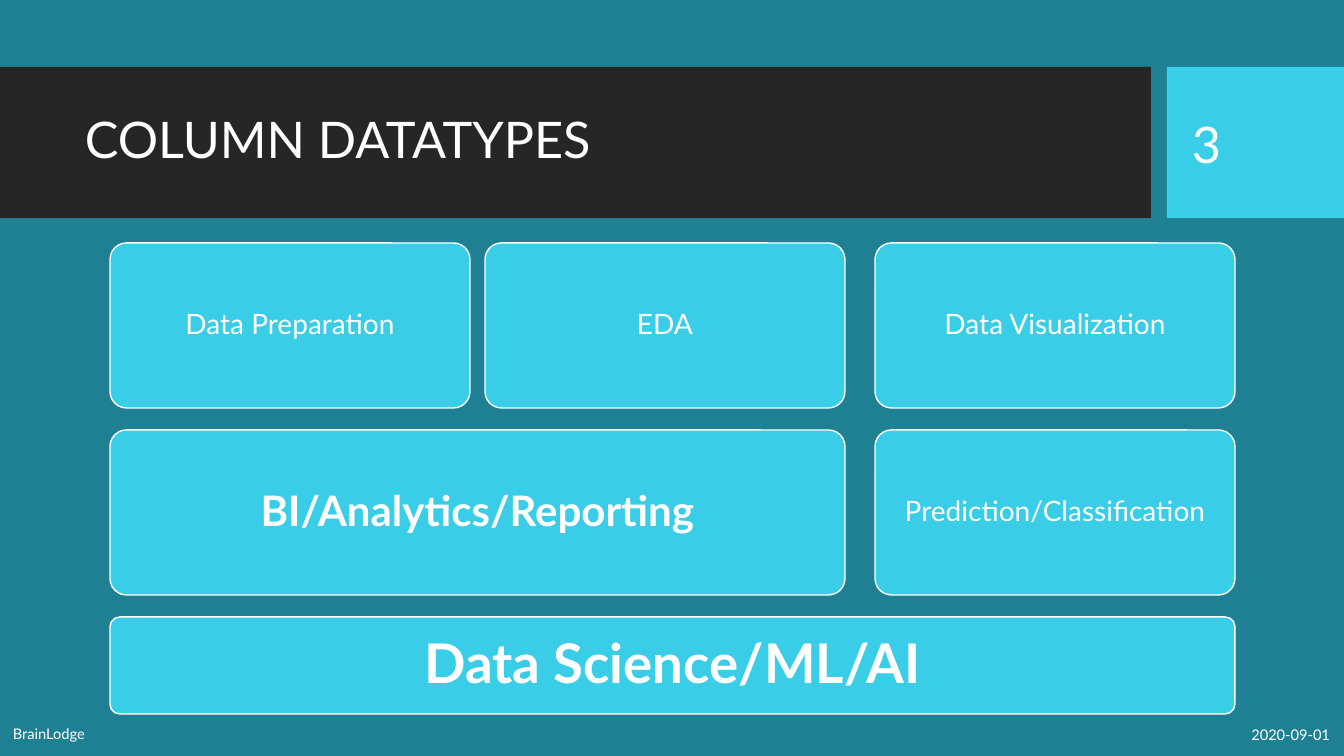
"""Build the column datatypes slide: a title band above a stack of rounded blocks."""
from pptx import Presentation
from pptx.dml.color import RGBColor
from pptx.enum.shapes import MSO_SHAPE
from pptx.enum.text import MSO_ANCHOR, PP_ALIGN
from pptx.util import Emu, Pt

SCALE = 914400 / 100.8
COLORS = {"teal": "1F8094", "dark": "262626", "cyan": "39CDE7", "white": "FFFFFF"}


def add_panel(page, place, color, kind=MSO_SHAPE.RECTANGLE):
    panel = page.shapes.add_shape(kind, *[Emu(round(pixels * SCALE)) for pixels in place])
    panel.shadow.inherit = False
    panel.fill.solid()
    panel.fill.fore_color.rgb = RGBColor.from_string(COLORS[color])
    panel.line.fill.background()
    return panel


def write(box, text, size, bold=False, align=PP_ALIGN.LEFT, spacing=1.0):
    frame = box.text_frame
    frame.word_wrap = True
    frame.vertical_anchor = MSO_ANCHOR.MIDDLE
    para = frame.paragraphs[0]
    para.alignment = align
    para.line_spacing = spacing
    span = para.add_run()
    span.text = text
    span.font.name = "Lato"
    span.font.size = Pt(size)
    span.font.bold = bold
    span.font.color.rgb = RGBColor.from_string(COLORS["white"])


deck = Presentation()
deck.slide_width = Emu(round(1344 * SCALE))
deck.slide_height = Emu(round(756 * SCALE))
page = deck.slides.add_slide(deck.slide_layouts[6])
page.background.fill.solid()
page.background.fill.fore_color.rgb = RGBColor.from_string(COLORS["teal"])

add_panel(page, (0, 67, 1151, 151), "dark")
add_panel(page, (1167, 67, 177, 151), "cyan")

labels = [
    ((75, 83, 1059, 119), "COLUMN DATATYPES", 36, PP_ALIGN.LEFT, 0.9),
    ((1182, 83, 127, 120), "3", 36, PP_ALIGN.LEFT, 1.0),
    ((3, 714, 757, 40), "BrainLodge", 10.5, PP_ALIGN.LEFT, 1.0),
    ((1038, 715, 302, 40), "2020-09-01", 10.5, PP_ALIGN.RIGHT, 1.0),
]
for place, text, size, align, spacing in labels:
    box = page.shapes.add_textbox(*[Emu(round(pixels * SCALE)) for pixels in place])
    write(box, text, size, align=align, spacing=spacing)

column_lefts = [110, 485, 875]
column_width = 360
rows = [(243, 165), (430, 165), (617, 97)]
blocks = [
    (2, 0, 2, "Data Science/ML/AI", 39, True),
    (1, 0, 1, "BI/Analytics/Reporting", 30, True),
    (0, 0, 0, "Data Preparation", 20, False),
    (0, 1, 1, "EDA", 20, False),
    (1, 2, 2, "Prediction/Classification", 20, False),
    (0, 2, 2, "Data Visualization", 20, False),
]
for row, first, last, text, size, bold in blocks:
    top, height = rows[row]
    left = column_lefts[first]
    width = column_lefts[last] + column_width - left
    block = add_panel(page, (left, top, width, height), "cyan", MSO_SHAPE.ROUNDED_RECTANGLE)
    block.adjustments[0] = 0.1
    block.line.color.rgb = RGBColor.from_string(COLORS["white"])
    block.line.width = Pt(1)
    write(block, text, size, bold, PP_ALIGN.CENTER, 0.9)

deck.save("out.pptx")
